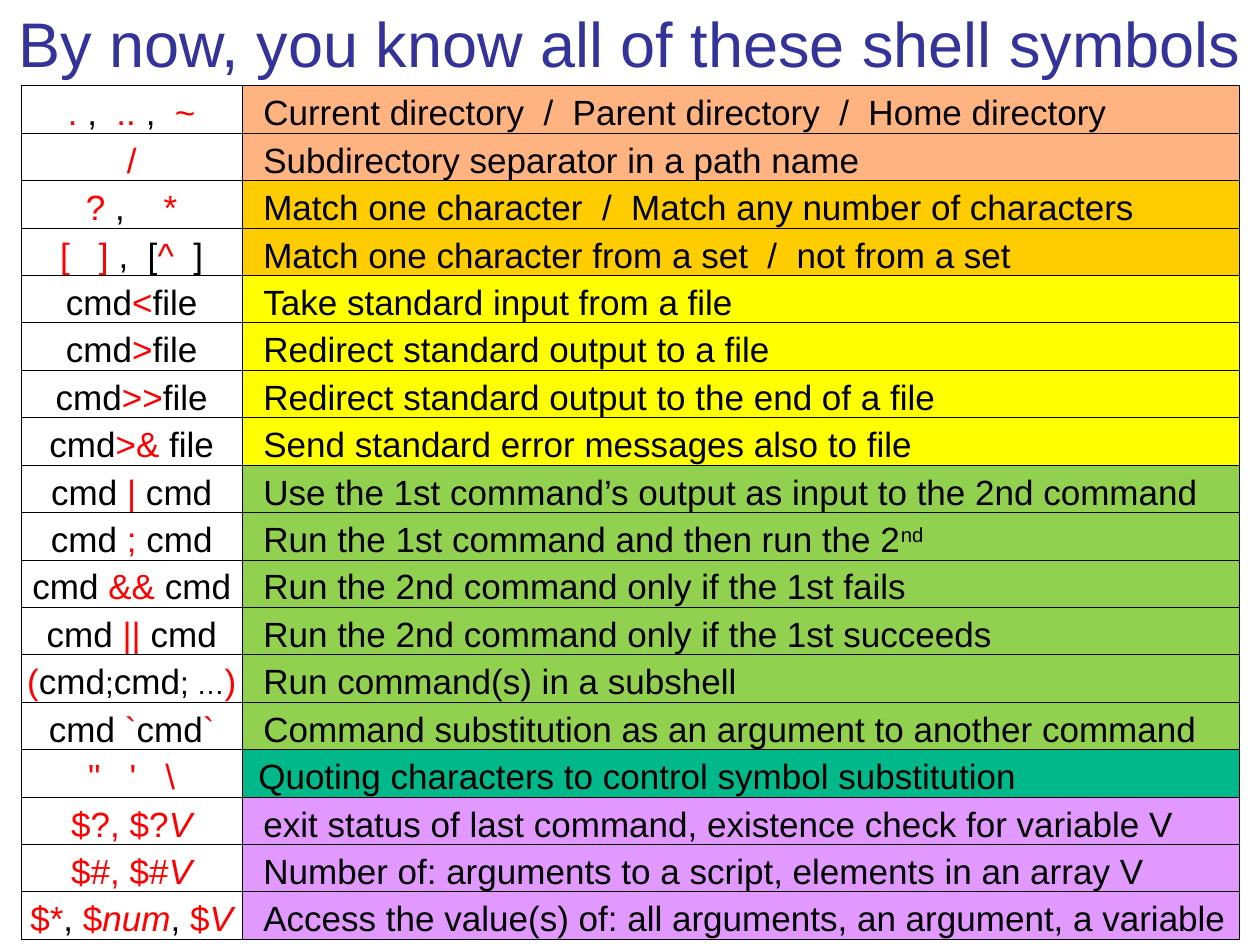
from lxml import etree
from pptx import Presentation
from pptx.dml.color import RGBColor
from pptx.enum import text
from pptx.oxml.ns import qn
from pptx.util import Emu, Inches, Pt

BLACK, RED, NAVY = "000000", "FF0000", "333399"

# Markers that change a run: (colour, size, italic, baseline)
STYLES = {
    "black": (BLACK, 20, False, None),
    "red": (RED, 20, False, None),
    "variable": (RED, 20, True, None),
    "small": (BLACK, 18, False, None),
    "dots": (BLACK, 16, False, None),
    "raised": (BLACK, 20, False, "30000"),
}


def rgb(hex_string):
    return RGBColor.from_string(hex_string)


def black(words):
    return words, "black"


def red(words):
    return words, "red"


def variable(words):
    return words, "variable"


def around(operator, before="cmd", after="cmd"):
    """A red operator between two black words."""
    return [black(before), red(operator), black(after)]


# Each group: fill colour, then rows of symbol runs and description runs
GROUPS = [
    ("FFB380", [
        ([red(". "), black(","), red("  .. "), black(","), red("  ~")],
         [black("Current directory  /  Parent directory  /  Home directory")]),
        ([red("/")], [black("Subdirectory separator in a path name")]),
    ]),
    ("FFCC00", [
        ([red("? "), black(","), red("    *")],
         [black("Match one character  /  Match any number of characters")]),
        ([red("[   ] "), black(",  ["), red("^"), black("  ]")],
         [black("Match one character from a set  /  not from a set")]),
    ]),
    ("FFFF00", [
        (around("<", after="file"), [black("Take standard input from a file")]),
        (around(">", after="file"), [black("Redirect standard output to a file")]),
        (around(">>", after="file"),
         [black("Redirect standard output to the end of a file")]),
        (around(">&", after=" file"),
         [black("Send standard error messages also to file")]),
    ]),
    ("92D050", [
        (around(" | "),
         [black("Use the 1st command’s output as input to the 2nd command")]),
        (around("; ", before="cmd "),
         [black("Run the 1st command and then run the 2"), ("nd", "raised")]),
        (around("&& ", before="cmd "),
         [black("Run the 2nd command only if the 1st fails")]),
        (around("|| ", before="cmd "),
         [black("Run the 2nd command only if the 1st succeeds")]),
        ([red("("), black("cmd"), (";", "small"), black("cmd"), (";", "small"),
          (" …", "dots"), red(")")],
         [black("Run command(s) in a subshell")]),
        (around("`", before="cmd ") + [red("`")],
         [black("Command substitution as an argument to another command")]),
    ]),
    ("00B88A", [
        ([red("\"   '   \\")],
         [black("Quoting characters to control symbol substitution")]),
    ]),
    ("E198FF", [
        ([red("$?, $?"), variable("V")],
         [black("exit status of last command, existence check for variable V")]),
        ([red("$#, $#"), variable("V")],
         [black("Number of: arguments to a script, elements in an array V")]),
        ([red("$*"), black(","), red(" $"), variable("num"), black(", "),
          red("$"), variable("V")],
         [black("Access the value(s) of: all arguments, an argument, a variable")]),
    ]),
]


class Sheet:
    """Holds the style and the slide being filled."""
    font = "Arial"
    inset = 0.01
    indent = 0.16
    quoting_indent = 0.12

    def __init__(self, deck):
        self.width, self.height = deck.slide_width, deck.slide_height
        self.slide = deck.slides.add_slide(deck.slide_layouts[5])

    def box(self, left, top, width, height):
        """Turn shares of the slide into lengths."""
        return (Emu(int(left * self.width)), Emu(int(top * self.height)),
                Emu(int(width * self.width)), Emu(int(height * self.height)))

    def run(self, paragraph, words, colour, size, italic=False, baseline=None):
        run = paragraph.add_run()
        run.text = words
        run.font.name, run.font.size = self.font, Pt(size)
        run.font.italic = italic
        run.font.color.rgb = rgb(colour)
        if baseline:
            run.font._element.set("baseline", baseline)

    def title(self, words, *shares):
        title = self.slide.shapes.title
        title.left, title.top, title.width, title.height = self.box(*shares)
        frame = title.text_frame
        frame.auto_size = text.MSO_AUTO_SIZE.NONE
        frame.vertical_anchor = text.MSO_ANCHOR.MIDDLE
        frame.margin_left = frame.margin_right = 0
        frame.margin_top = frame.margin_bottom = 0
        frame.paragraphs[0].alignment = text.PP_ALIGN.CENTER
        self.run(frame.paragraphs[0], words, NAVY, 36)

    def border(self, cell):
        properties = cell._tc.get_or_add_tcPr()
        for side in ("lnL", "lnR", "lnT", "lnB"):
            line = etree.SubElement(properties, qn(f"a:{side}"), w=str(Pt(0.5)))
            solid = etree.SubElement(line, qn("a:solidFill"))
            etree.SubElement(solid, qn("a:srgbClr"), val=BLACK)

    def cell(self, cell, runs, align, fill=None, indent=0):
        self.border(cell)
        if fill:
            cell.fill.solid()
            cell.fill.fore_color.rgb = rgb(fill)
        else:
            cell.fill.background()
        cell.margin_left = Inches(self.inset + indent)
        cell.margin_right = cell.margin_top = Inches(self.inset)
        cell.margin_bottom = 0
        cell.vertical_anchor = text.MSO_ANCHOR.BOTTOM
        paragraph = cell.text_frame.paragraphs[0]
        paragraph.alignment = align
        for words, style in runs:
            self.run(paragraph, words, *STYLES[style])

    def symbol_table(self, groups, symbol_share, *shares):
        rows = [(fill, *row) for fill, members in groups for row in members]
        left, top, width, height = self.box(*shares)
        table = self.slide.shapes.add_table(
            len(rows), 2, left, top, width, height).table
        table.first_row = table.horz_banding = False
        table.columns[0].width = Emu(int(width * symbol_share))
        table.columns[1].width = width - table.columns[0].width
        for index, (fill, symbol, meaning) in enumerate(rows):
            table.rows[index].height = Emu(height // len(rows))
            self.cell(table.cell(index, 0), symbol, text.PP_ALIGN.CENTER)
            quoting = meaning[0][0].startswith("Quoting")
            self.cell(table.cell(index, 1), meaning, text.PP_ALIGN.LEFT, fill,
                      self.quoting_indent if quoting else self.indent)


def main():
    deck = Presentation()
    deck.slide_width, deck.slide_height = Inches(10), Inches(7.5)
    sheet = Sheet(deck)

    # Heading across the full width
    sheet.title("By now, you know all of these shell symbols", 0, 0, 1, 0.09)

    # Symbols on the left, their meanings on coloured bands
    sheet.symbol_table(GROUPS, 1.75 / 9.67, 0.17 / 10, 0.68 / 7.5,
                       9.67 / 10, 6.78 / 7.5)
    deck.save("out.pptx")


if __name__ == "__main__":
    main()
